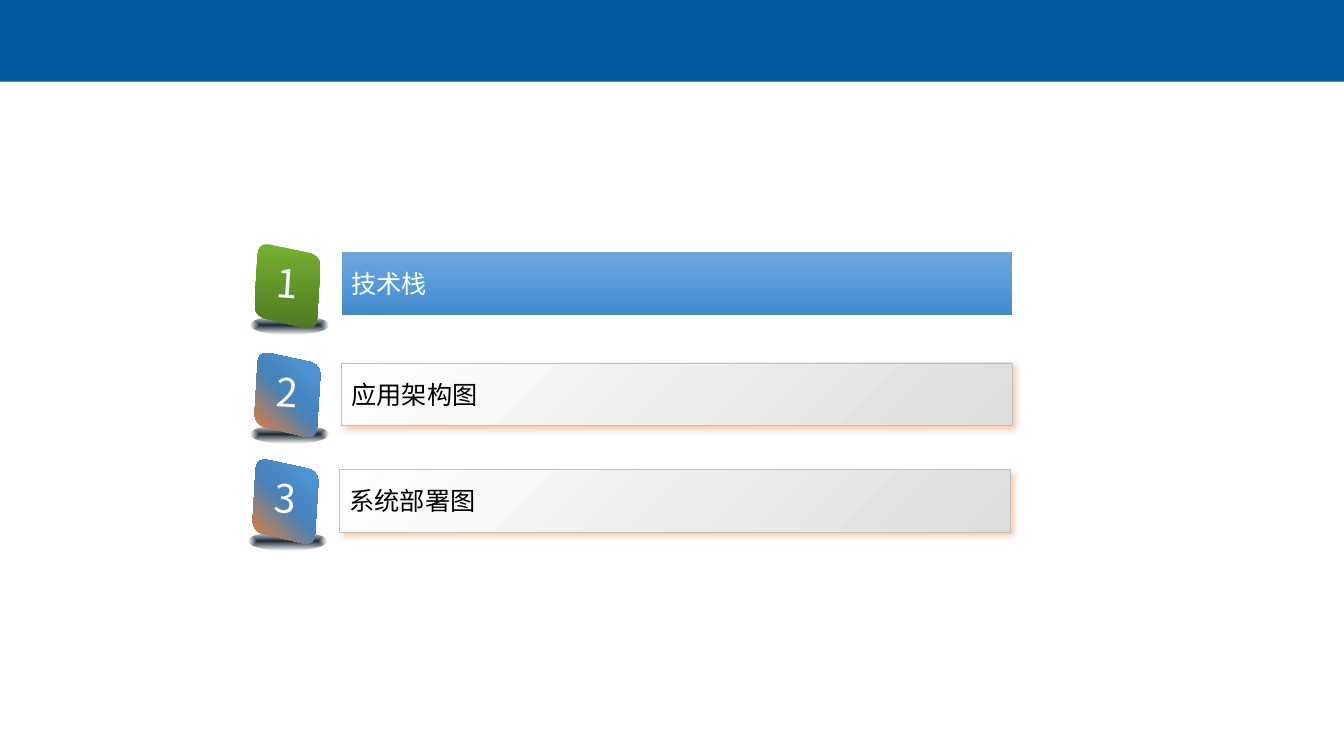
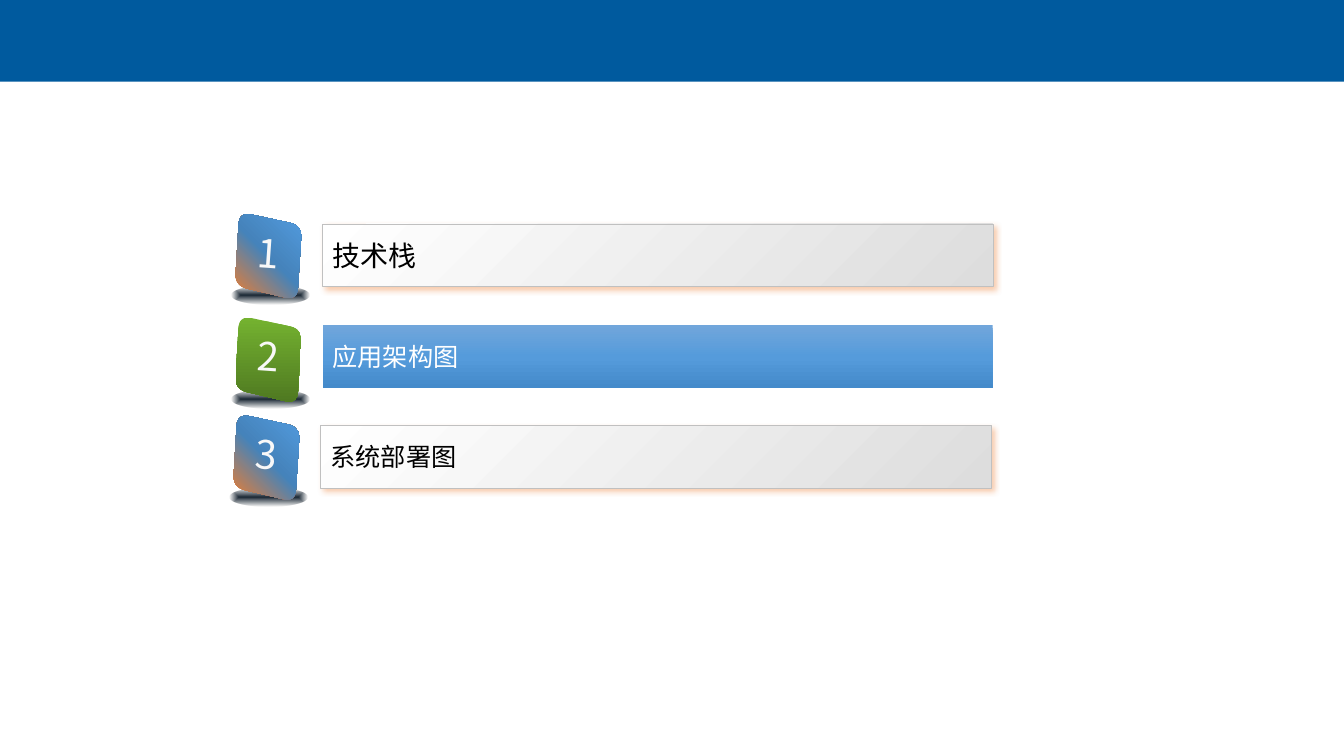
"""Builds two agenda slides, each highlighting its current chapter."""
import pptx
import pptx.dml.color
import pptx.enum.shapes
import pptx.enum.text
import pptx.oxml
import pptx.oxml.ns
import pptx.util

Cm = pptx.util.Cm
Pt = pptx.util.Pt
SHAPE = pptx.enum.shapes.MSO_SHAPE
ALIGN = pptx.enum.text.PP_ALIGN
qn = pptx.oxml.ns.qn

CHAPTERS = ["技术栈", "应用架构图", "系统部署图"]
AGENDAS = [
    {"current": 0, "left": 6.12, "tops": [6.25, 8.99, 11.68], "sizes": [18, 18, 18]},
    {"current": 1, "left": 5.64, "tops": [5.49, 8.10, 10.57], "sizes": [20, 18, 18]},
]

FONT = "Noto Sans CJK SC"
BAND, DIGIT, BAR_EDGE, GLOW = "005A9E", "F8F8F8", "C0C0C0", "ED7D31"
TEXT, CURRENT_TEXT = "000000", "FFFFFF"
DOWN = '<a:lin ang="5400000" scaled="0"/>'
UP_RIGHT = '<a:lin ang="18900000" scaled="0"/>'
FROM_CENTRE = '<a:path path="shape"><a:fillToRect l="50000" t="50000" r="50000" b="50000"/></a:path>'
FROM_CORNER = '<a:path path="circle"><a:fillToRect l="100000" t="100000"/></a:path>'
TILE_FILL = ([(0, "ED7D31", 100), (50, "4583BB", 100), (100, "529BDE", 100)], UP_RIGHT)
CURRENT_TILE_FILL = ([(0, "74B230", 100), (100, "4F7921", 100)], DOWN)
BAR_FILL = ([(0, "DDDDDD", 100), (100, "FFFFFF", 100)], FROM_CORNER)
CURRENT_BAR_FILL = ([(0, "71A6DB", 100), (50, "559BDB", 100), (100, "448ACA", 100)], DOWN)
FLOOR_FILL = ([(0, "00101E", 90), (100, "00101E", 0)], FROM_CENTRE)

TILE_CORNERS = [(0.39, -0.15), (1.97, 0.19), (1.85, 2.08), (0.28, 1.71)]
CORNER_RADIUS = 0.32
CURVE_STEPS = 8
LAST_ROW_SHIFT = -0.05
BAR_OFFSET = 2.49


def rgb(value):
    """Turn a hex string into a colour."""
    return pptx.dml.color.RGBColor.from_string(value)


def xml(tag, body, attributes=""):
    """Parse one drawing element."""
    namespace = pptx.oxml.ns.nsdecls("a")
    return pptx.oxml.parse_xml(f"<a:{tag} {namespace} {attributes}>{body}</a:{tag}>")


def tint(hex_value, opacity):
    """Describe a colour with an opacity in percent."""
    return f'<a:srgbClr val="{hex_value}"><a:alpha val="{opacity * 1000}"/></a:srgbClr>'


def paint(shape, gradient):
    """Give a shape a gradient, no outline and no shadow."""
    stops, direction = gradient
    listed = "".join(f'<a:gs pos="{position * 1000}">{tint(value, opacity)}</a:gs>'
                     for position, value, opacity in stops)
    shape.shadow.inherit = False
    shape.line.fill.background()
    shape.fill.gradient()
    properties = shape.fill._xPr
    body = f"<a:gsLst>{listed}</a:gsLst>{direction}"
    properties.replace(properties.find(qn("a:gradFill")), xml("gradFill", body, 'rotWithShape="1"'))


def write(shape, text, size, colour, align):
    """Write one run into a shape."""
    paragraph = shape.text_frame.paragraphs[0]
    paragraph.alignment = align
    run = paragraph.add_run()
    run.text = text
    run.font.size = Pt(size)
    run.font.name = FONT
    run.font.color.rgb = rgb(colour)
    properties = run.font._element
    properties.find(qn("a:latin")).addnext(xml("ea", "", f'typeface="{FONT}"'))
    return run


def toward(start, end, distance):
    """Find the point at a distance from start on the way to end."""
    run, rise = end[0] - start[0], end[1] - start[1]
    share = distance / (run * run + rise * rise) ** 0.5
    return start[0] + run * share, start[1] + rise * share


def rounded(corners):
    """Round the corners of an outline with quadratic curves."""
    points = []
    for index, corner in enumerate(corners):
        begin = toward(corner, corners[index - 1], CORNER_RADIUS)
        end = toward(corner, corners[(index + 1) % len(corners)], CORNER_RADIUS)
        for step in range(CURVE_STEPS + 1):
            t = step / CURVE_STEPS
            points.append(tuple((1 - t) ** 2 * b + 2 * t * (1 - t) * c + t * t * e
                                for b, c, e in zip(begin, corner, end)))
    return points


def add_number(slide, number, left, top, current):
    """Add a tilted tile with its number and floor shadow."""
    group = slide.shapes.add_group_shape()
    floor = group.shapes.add_shape(SHAPE.OVAL, Cm(left + 0.2), Cm(top + 1.71), Cm(1.96), Cm(0.48))
    paint(floor, FLOOR_FILL)
    outline = [(Cm(left + x), Cm(top + y)) for x, y in rounded(TILE_CORNERS)]
    builder = group.shapes.build_freeform(*outline[0])
    builder.add_line_segments(outline[1:], close=True)
    paint(builder.convert_to_shape(), CURRENT_TILE_FILL if current else TILE_FILL)
    digit = group.shapes.add_textbox(Cm(left + 0.25), Cm(top + 0.15), Cm(1.75), Cm(1.5))
    digit.text_frame.word_wrap = True
    digit.rotation = 4
    run = write(digit, str(number), 28, DIGIT, ALIGN.CENTER)
    run.font._element.set("spc", "150")


def add_bar(slide, chapter, left, top, size, current):
    """Add a chapter bar."""
    bar = slide.shapes.add_shape(SHAPE.RECTANGLE, Cm(left), Cm(top), Cm(16.89), Cm(1.58))
    paint(bar, CURRENT_BAR_FILL if current else BAR_FILL)
    if not current:
        bar.line.color.rgb = rgb(BAR_EDGE)
        bar.line.width = Pt(0.25)
        glow = xml("outerShdw", tint(GLOW, 40),
                   f'blurRad="{Pt(4)}" dist="{Pt(3)}" dir="2700000" algn="tl" rotWithShape="0"')
        bar._element.spPr.find(qn("a:effectLst")).append(glow)
    bar.text_frame.word_wrap = True
    bar.text_frame.vertical_anchor = pptx.enum.text.MSO_ANCHOR.MIDDLE
    write(bar, chapter, size, CURRENT_TEXT if current else TEXT, ALIGN.LEFT)


def add_agenda(deck, agenda):
    """Add a slide with the top band and all chapters."""
    slide = deck.slides.add_slide(deck.slide_layouts[6])
    band = slide.shapes.add_shape(SHAPE.RECTANGLE, 0, 0, deck.slide_width, Cm(2.06))
    band.shadow.inherit = False
    band.fill.solid()
    band.fill.fore_color.rgb = rgb(BAND)
    band.line.fill.background()
    rows = zip(CHAPTERS, agenda["tops"], agenda["sizes"])
    for index, (chapter, top, size) in enumerate(rows):
        current = index == agenda["current"]
        left = agenda["left"] + (LAST_ROW_SHIFT if index == len(CHAPTERS) - 1 else 0)
        add_number(slide, index + 1, left, top, current)
        add_bar(slide, chapter, left + BAR_OFFSET, top + (0.1 if current else 0.15), size, current)


deck = pptx.Presentation()
deck.slide_width, deck.slide_height = Cm(33.87), Cm(19.05)
for agenda in AGENDAS:
    add_agenda(deck, agenda)
deck.save("out.pptx")
